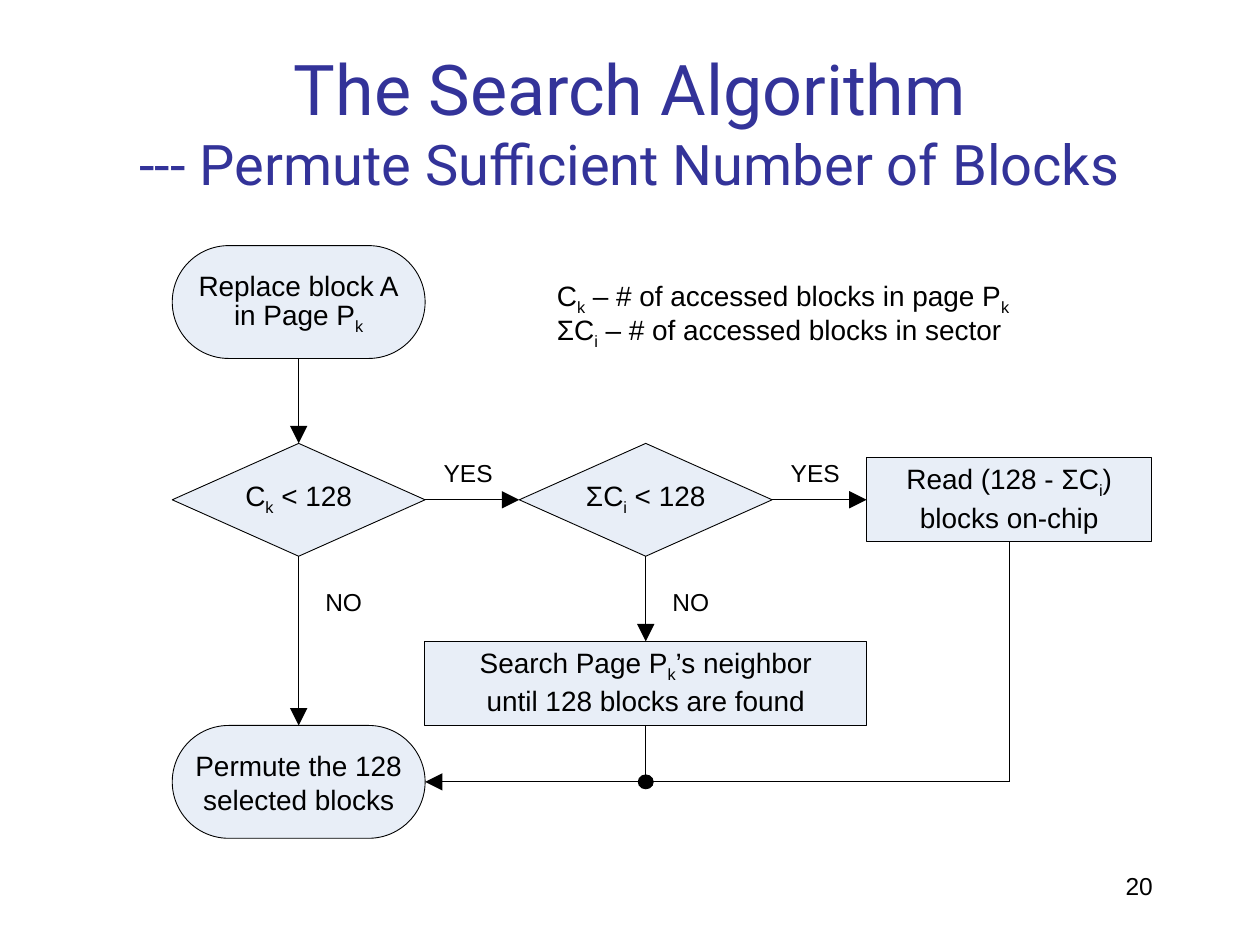
"""Build a flowchart slide of the block permutation search algorithm."""
from dataclasses import dataclass
from typing import Any

from lxml import etree
from pptx import Presentation
from pptx.dml.color import RGBColor
from pptx.enum import shapes, text
from pptx.oxml import ns
from pptx.util import Pt

NAVY = RGBColor(0x33, 0x33, 0x99)
BLACK = RGBColor(0, 0, 0)
PALE = RGBColor(0xE8, 0xEE, 0xF7)
TOP, LEFT, BOTTOM, RIGHT = range(4)
KIND = shapes.MSO_SHAPE
ALIGN = text.PP_ALIGN


@dataclass
class Flowchart:
    slide: Any
    font: str = "Arial"
    size: float = 16
    leading: float = 19.5
    stroke: float = 0.5

    def title(self, heading, subheading):
        title = self.slide.shapes.title
        title.left, title.top, title.width, title.height = Pt(54), Pt(24), Pt(612), Pt(90)
        frame = title.text_frame
        frame.vertical_anchor = text.MSO_ANCHOR.MIDDLE
        paragraph = frame.paragraphs[0]
        paragraph.alignment = ALIGN.CENTER
        paragraph.font.name = "Roboto"
        paragraph.font.color.rgb = NAVY
        for words, size in ((heading, 40), (subheading, 32)):
            if paragraph.runs:
                paragraph.add_line_break()
            run = paragraph.add_run()
            run.text = words
            run.font.size = Pt(size)

    def set_lines(self, frame, lines, size, align):
        """Fill a frame with lines in which _x_ marks a subscript."""
        frame.margin_left = frame.margin_right = 0
        frame.margin_top = frame.margin_bottom = 0
        for number, line in enumerate(lines):
            paragraph = frame.add_paragraph() if number else frame.paragraphs[0]
            paragraph.alignment = align
            paragraph.line_spacing = Pt(self.leading)
            paragraph.font.name = self.font
            paragraph.font.size = Pt(size)
            paragraph.font.color.rgb = BLACK
            for part, words in enumerate(line.split("_")):
                if words:
                    run = paragraph.add_run()
                    run.text = words
                    if part % 2:
                        run.font._element.set("baseline", "-25000")

    def node(self, kind, center_x, center_y, width, height, *lines, fill=PALE):
        node = self.slide.shapes.add_shape(
            kind, Pt(center_x - width / 2), Pt(center_y - height / 2), Pt(width), Pt(height))
        node.shadow.inherit = False
        node.fill.solid()
        node.fill.fore_color.rgb = fill
        node.line.color.rgb = BLACK
        node.line.width = Pt(self.stroke)
        if kind == KIND.ROUNDED_RECTANGLE:
            node.adjustments[0] = 0.5
        if lines:
            node.text_frame.word_wrap = False
            node.text_frame.vertical_anchor = text.MSO_ANCHOR.MIDDLE
            self.set_lines(node.text_frame, lines, self.size, ALIGN.CENTER)
        return node

    def label(self, left, top, width, height, *lines, size=14, align=ALIGN.LEFT):
        box = self.slide.shapes.add_textbox(Pt(left), Pt(top), Pt(width), Pt(height))
        box.text_frame.word_wrap = True
        self.set_lines(box.text_frame, lines, size, align)

    def link(self, start=None, end=None, begin_at=(0, 0), end_at=(0, 0), arrow=True):
        """Draw a line between points or (node, side) pairs."""
        link = self.slide.shapes.add_connector(
            shapes.MSO_CONNECTOR.STRAIGHT, *map(Pt, begin_at + end_at))
        if start:
            link.begin_connect(*start)
        if end:
            link.end_connect(*end)
        link.line.color.rgb = BLACK
        link.line.width = Pt(self.stroke)
        if arrow:
            etree.SubElement(link.line._get_or_add_ln(), ns.qn("a:tailEnd"),
                             type="triangle", w="lg", len="lg")
        etree.SubElement(link._element.spPr, ns.qn("a:effectLst"))


def main():
    deck = Presentation()
    deck.slide_width, deck.slide_height = Pt(720), Pt(540)
    chart = Flowchart(deck.slides.add_slide(deck.slide_layouts[5]))
    chart.title("The Search Algorithm", "--- Permute Sufficient Number of Blocks")

    page_x, sector_x, read_x = 170.7, 369, 576.7
    test_y, search_y, permute_y = 285.6, 390.6, 446.8
    big = (144.5, 64.5)
    replace = chart.node(KIND.ROUNDED_RECTANGLE, page_x, 172.6, *big,
                         "Replace block A", "in Page P_k_")
    page_test = chart.node(KIND.DIAMOND, page_x, test_y, *big, "C_k_ < 128")
    sector_test = chart.node(KIND.DIAMOND, sector_x, test_y, *big, "ΣC_i_ < 128")
    read = chart.node(KIND.RECTANGLE, read_x, test_y, 163, 48.2,
                      "Read (128 - ΣC_i_)", "blocks on-chip")
    search = chart.node(KIND.RECTANGLE, sector_x, search_y, 252.7, 48.2,
                        "Search Page P_k_’s neighbor", "until 128 blocks are found")
    permute = chart.node(KIND.ROUNDED_RECTANGLE, page_x, permute_y, *big,
                         "Permute the 128", "selected blocks")
    junction = chart.node(KIND.OVAL, sector_x, permute_y, 8.6, 8, fill=BLACK)

    chart.link((replace, BOTTOM), (page_test, TOP))
    chart.link((page_test, BOTTOM), (permute, TOP))
    chart.link((page_test, RIGHT), (sector_test, LEFT))
    chart.link((sector_test, RIGHT), (read, LEFT))
    chart.link((sector_test, BOTTOM), (search, TOP))
    chart.link((search, BOTTOM), (junction, TOP), arrow=False)
    corner = (read_x, permute_y)
    chart.link((read, BOTTOM), end_at=corner, arrow=False)
    chart.link(end=(permute, RIGHT), begin_at=corner)

    for test_x in (page_x, sector_x):
        chart.label(test_x + 82.8, 259, 32, 18, "YES")
        chart.label(test_x + 15.2, 332.5, 28, 18, "NO")
    chart.label(318.2, 161.3, 290, 40, "C_k_ – # of accessed blocks in page P_k_",
                "ΣC_i_ – # of accessed blocks in sector", size=chart.size)
    chart.label(516, 495, 142.8, 20, "20", align=ALIGN.RIGHT)
    deck.save("out.pptx")


if __name__ == "__main__":
    main()
